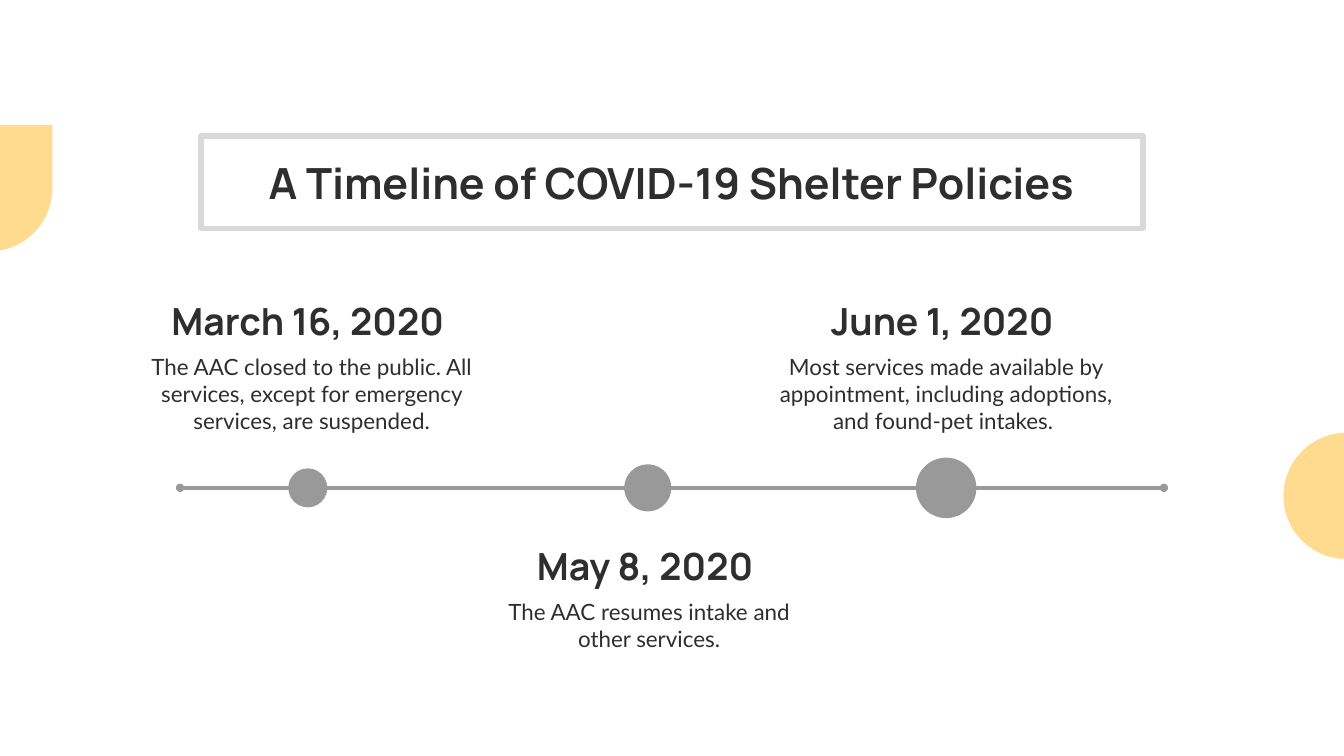
"""Build a one-slide timeline of shelter policies."""
from lxml.etree import SubElement
from pptx import Presentation
from pptx.dml.color import RGBColor
from pptx.enum.shapes import MSO_CONNECTOR as CONN, MSO_SHAPE as SHAPE
from pptx.enum.text import MSO_ANCHOR as ANCHOR, MSO_AUTO_SIZE as AUTO, PP_ALIGN as ALIGN
from pptx.oxml.ns import qn
from pptx.util import Inches, Pt

TITLE = "A Timeline of COVID-19 Shelter Policies"
EVENTS = [
    dict(date="March 16, 2020", text="The AAC closed to the public. All services, except for emergency "
         "services, are suspended.", x=2.29, dot=0.29, dot_shift=0, row="above", widths=(3.35, 2.72)),
    dict(date="May 8, 2020", text="The AAC resumes intake and other services.",
         x=4.8, dot=0.35, dot_shift=0.02, row="below", widths=(3.02, 2.45)),
    dict(date="June 1, 2020", text="Most services made available by appointment, including adoptions, "
         "and found-pet intakes. ", x=7.01, dot=0.45, dot_shift=0.03, row="above", widths=(3.35, 2.72)),
]
THEME = dict(
    ink="2E2E2E", frame="D9D9D9", axis="999999", accent="FFDB8F",
    title=dict(name="Manrope", size=Pt(23), bold=True),
    date=dict(name="Manrope", size=Pt(20), bold=True),
    body=dict(name="Lato", size=Pt(12), bold=False),
)
W = 10
H = W * 9 / 16
TITLE_W, TITLE_H, TITLE_Y = 7.01, 0.69, 1.01
AXIS_Y, AXIS_X = 3.63, (1.34, 8.66)
ROWS = dict(above=2.12, below=3.94)
BODY_DROP, BODY_SHIFT = 0.41, 0.03
DROPS, DROP_SIZE = [(9.55, 3.22), (-0.55, 0.93)], 0.94


def color(key):
    return RGBColor.from_string(THEME[key])


def box(x, y, w, h):
    return [Inches(v) for v in (x, y, w, h)]


def write(sp, text, style, anchor=ANCHOR.TOP):
    tf = sp.text_frame
    frame = dict(word_wrap=True, auto_size=AUTO.NONE, vertical_anchor=anchor)
    frame.update({f"margin_{side}": Inches(0.1) for side in ("left", "top", "right", "bottom")})
    for key, value in frame.items():
        setattr(tf, key, value)
    p = tf.paragraphs[0]
    p.alignment = ALIGN.CENTER
    r = p.add_run()
    r.text = text
    for key, value in THEME[style].items():
        setattr(r.font, key, value)
    r.font.color.rgb = color("ink")


def add_solid(s, shape, place, fill):
    sp = s.shapes.add_shape(shape, *box(*place))
    sp.shadow.inherit = False
    sp.fill.solid()
    sp.fill.fore_color.rgb = color(fill)
    sp.line.fill.background()


def add_title(s):
    sp = s.shapes.title
    sp.left, sp.top, sp.width, sp.height = box((W - TITLE_W) / 2, TITLE_Y, TITLE_W, TITLE_H)
    sp.line.color.rgb = color("frame")
    sp.line.width = Pt(3)
    SubElement(sp.line._get_or_add_ln(), qn("a:round"))
    write(sp, TITLE, "title", ANCHOR.MIDDLE)


def add_axis(s):
    start, end = AXIS_X
    cx = s.shapes.add_connector(CONN.STRAIGHT, *box(start, AXIS_Y, end, AXIS_Y))
    cx.line.color.rgb = color("axis")
    cx.line.width = Pt(2.25)
    for tag in ("a:headEnd", "a:tailEnd"):
        SubElement(cx.line._get_or_add_ln(), qn(tag), type="oval", w="sm", len="sm")
    SubElement(cx._element.spPr, qn("a:effectLst"))


def add_event(s, event):
    top, (date_w, body_w) = ROWS[event["row"]], event["widths"]
    parts = [
        (event["date"], "date", event["x"], top, date_w, 0.55),
        (event["text"], "body", event["x"] + BODY_SHIFT, top + BODY_DROP, body_w, 1.03),
    ]
    for text, style, x, y, w, h in parts:
        write(s.shapes.add_textbox(*box(x - w / 2, y, w, h)), text, style)
    d = event["dot"]
    add_solid(s, SHAPE.OVAL, (event["x"] + event["dot_shift"] - d / 2, AXIS_Y - d / 2, d, d), "axis")


def main():
    prs = Presentation()
    prs.slide_width, prs.slide_height = Inches(W), Inches(H)
    s = prs.slides.add_slide(prs.slide_layouts[5])
    for x, y in DROPS:
        add_solid(s, SHAPE.TEAR, (x, y, DROP_SIZE, DROP_SIZE), "accent")
    add_title(s)
    add_axis(s)
    for event in EVENTS:
        add_event(s, event)
    prs.save("out.pptx")


if __name__ == "__main__":
    main()
